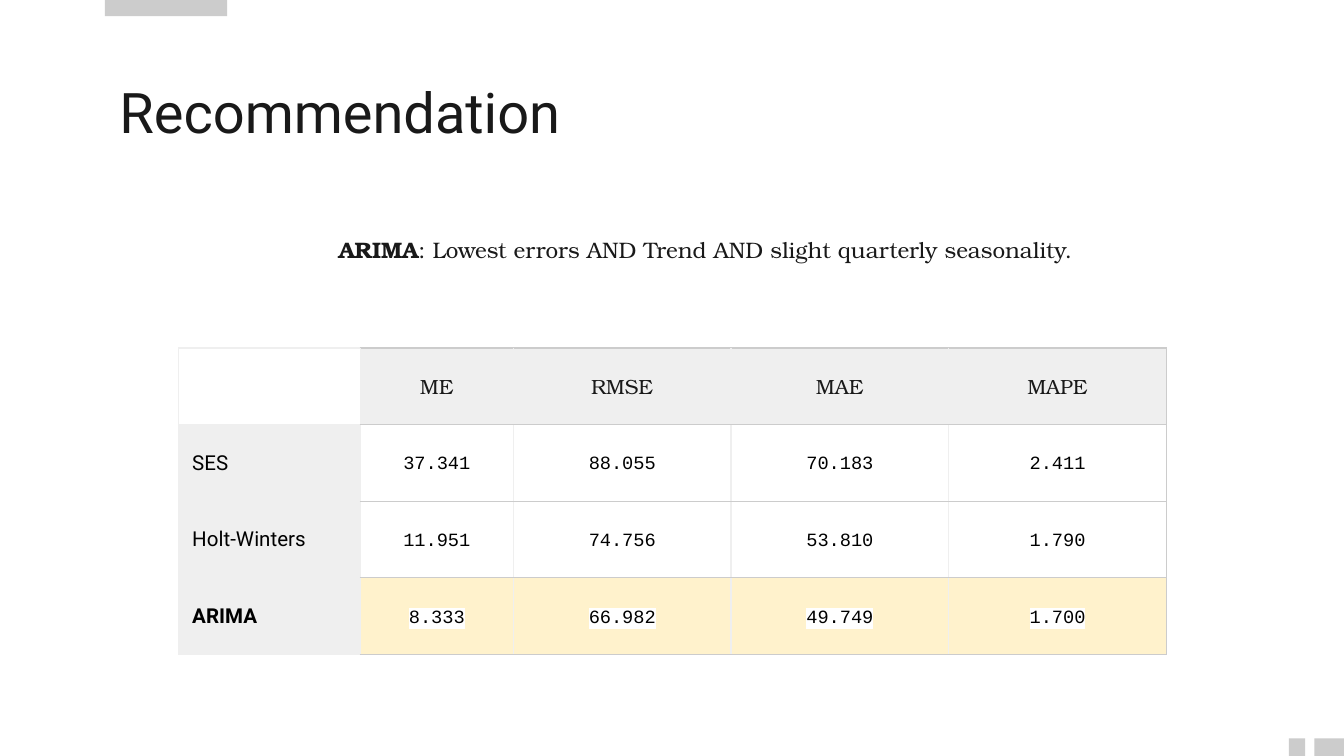
import pptx
import pptx.dml.color
import pptx.enum.shapes
import pptx.enum.text
import pptx.oxml.ns
import pptx.util
from lxml import etree

RGBColor = pptx.dml.color.RGBColor
MID_GREY = RGBColor(0xCC, 0xCC, 0xCC)
LIGHT_GREY = RGBColor(0xEF, 0xEF, 0xEF)
CREAM = RGBColor(0xFF, 0xF2, 0xCC)
WHITE = RGBColor(0xFF, 0xFF, 0xFF)
INK = RGBColor(0x19, 0x19, 0x19)
BLACK = RGBColor(0, 0, 0)
SANS, SERIF, MONO = "Roboto", "TeX Gyre Bonum", "Courier New"
CENTER = pptx.enum.text.PP_ALIGN.CENTER
MARGIN = pptx.util.Inches(0.1)

presentation = pptx.Presentation()
presentation.slide_width = WIDTH = pptx.util.Inches(10)
presentation.slide_height = HEIGHT = WIDTH * 9 // 16
slide = presentation.slides.add_slide(presentation.slide_layouts[6])


def format_run(run, font, size, color, bold=False):
    run.font.name = font
    run.font.size = pptx.util.Pt(size)
    run.font.color.rgb = color
    run.font.bold = bold


def add_child(parent, tag, **attributes):
    return etree.SubElement(parent, pptx.oxml.ns.qn(tag), attributes)


# Decorative bars along the top and bottom edges
bar_height = pptx.util.Inches(0.13)
bottom_edge = HEIGHT - bar_height
for left, top, width in [(0.78, -pptx.util.Inches(0.01), 0.91),
                         (9.59, bottom_edge, 0.12),
                         (9.78, bottom_edge, 0.22)]:
    bar = slide.shapes.add_shape(
        pptx.enum.shapes.MSO_SHAPE.RECTANGLE,
        pptx.util.Inches(left), top, pptx.util.Inches(width), bar_height)
    bar.shadow.inherit = False
    bar.fill.solid()
    bar.fill.fore_color.rgb = MID_GREY
    bar.line.fill.background()

# Title and statement share one column
title_runs = [("Recommendation", False)]
statement_runs = [("ARIMA", True),
                  (": Lowest errors AND Trend AND slight quarterly seasonality.", False)]
for top, height, font, size, texts in [(0.48, 0.63, SANS, 30, title_runs),
                                       (1.63, 0.43, SERIF, 12, statement_runs)]:
    text_box = slide.shapes.add_textbox(
        pptx.util.Inches(0.79), pptx.util.Inches(top),
        pptx.util.Inches(8.42), pptx.util.Inches(height))
    text_frame = text_box.text_frame
    text_frame.word_wrap = True
    text_frame.margin_left = text_frame.margin_right = MARGIN
    text_frame.margin_top = text_frame.margin_bottom = MARGIN
    paragraph = text_frame.paragraphs[0]
    for text, bold in texts:
        run = paragraph.add_run()
        run.text = text
        format_run(run, font, size, INK, bold)
paragraph.alignment = CENTER
paragraph.line_spacing = 1.15
paragraph._p.get_or_add_pPr().set("marL", str(pptx.util.Inches(0.5)))

# Error table
rows = [
    ["", "ME", "RMSE", "MAE", "MAPE"],
    ["SES", "37.341", "88.055", "70.183", "2.411"],
    ["Holt-Winters", "11.951", "74.756", "53.810", "1.790"],
    ["ARIMA", "8.333", "66.982", "49.749", "1.700"],
]
column_widths = [1.35, 1.14, 1.62, 1.62, 1.62]
row_height = pptx.util.Inches(0.57)
table = slide.shapes.add_table(
    len(rows), len(column_widths), pptx.util.Inches(1.33), pptx.util.Inches(2.59),
    pptx.util.Inches(sum(column_widths)), row_height * len(rows)).table
table.first_row = table.horz_banding = False
for column, width in zip(table.columns, column_widths):
    column.width = pptx.util.Inches(width)

last_row, last_column = len(rows) - 1, len(column_widths) - 1
for row_index, row in enumerate(rows):
    table.rows[row_index].height = row_height
    for column_index, text in enumerate(row):
        is_label, is_header = column_index == 0, row_index == 0
        cell = table.cell(row_index, column_index)
        cell.vertical_anchor = pptx.enum.text.MSO_ANCHOR.MIDDLE
        cell.margin_left = cell.margin_right = MARGIN
        cell.margin_top = cell.margin_bottom = MARGIN

        horizontal = LIGHT_GREY if is_label else MID_GREY
        right = MID_GREY if column_index == last_column else LIGHT_GREY
        for side, color in zip("LRTB", (LIGHT_GREY, right, horizontal, horizontal)):
            border = add_child(cell._tc.get_or_add_tcPr(), "a:ln" + side,
                               w=str(pptx.util.Pt(0.75)))
            add_child(add_child(border, "a:solidFill"), "a:srgbClr", val=str(color))

        if is_label != is_header:
            fill = LIGHT_GREY
        else:
            fill = CREAM if row_index == last_row else None
        if fill is None:
            cell.fill.background()
        else:
            cell.fill.solid()
            cell.fill.fore_color.rgb = fill

        if not text:
            continue
        cell.text_frame.text = text
        paragraph = cell.text_frame.paragraphs[0]
        run = paragraph.runs[0]
        if is_label:
            format_run(run, SANS, 11, BLACK, row_index == last_row)
            continue
        paragraph.alignment = CENTER
        if is_header:
            format_run(run, SERIF, 11, INK)
        else:
            format_run(run, MONO, 10, BLACK)
            paragraph.line_spacing = 1.2
            properties = run._r.get_or_add_rPr()
            highlight = add_child(properties, "a:highlight")
            add_child(highlight, "a:srgbClr", val=str(WHITE))
            properties.find(pptx.oxml.ns.qn("a:latin")).addprevious(highlight)

presentation.save("out.pptx")
